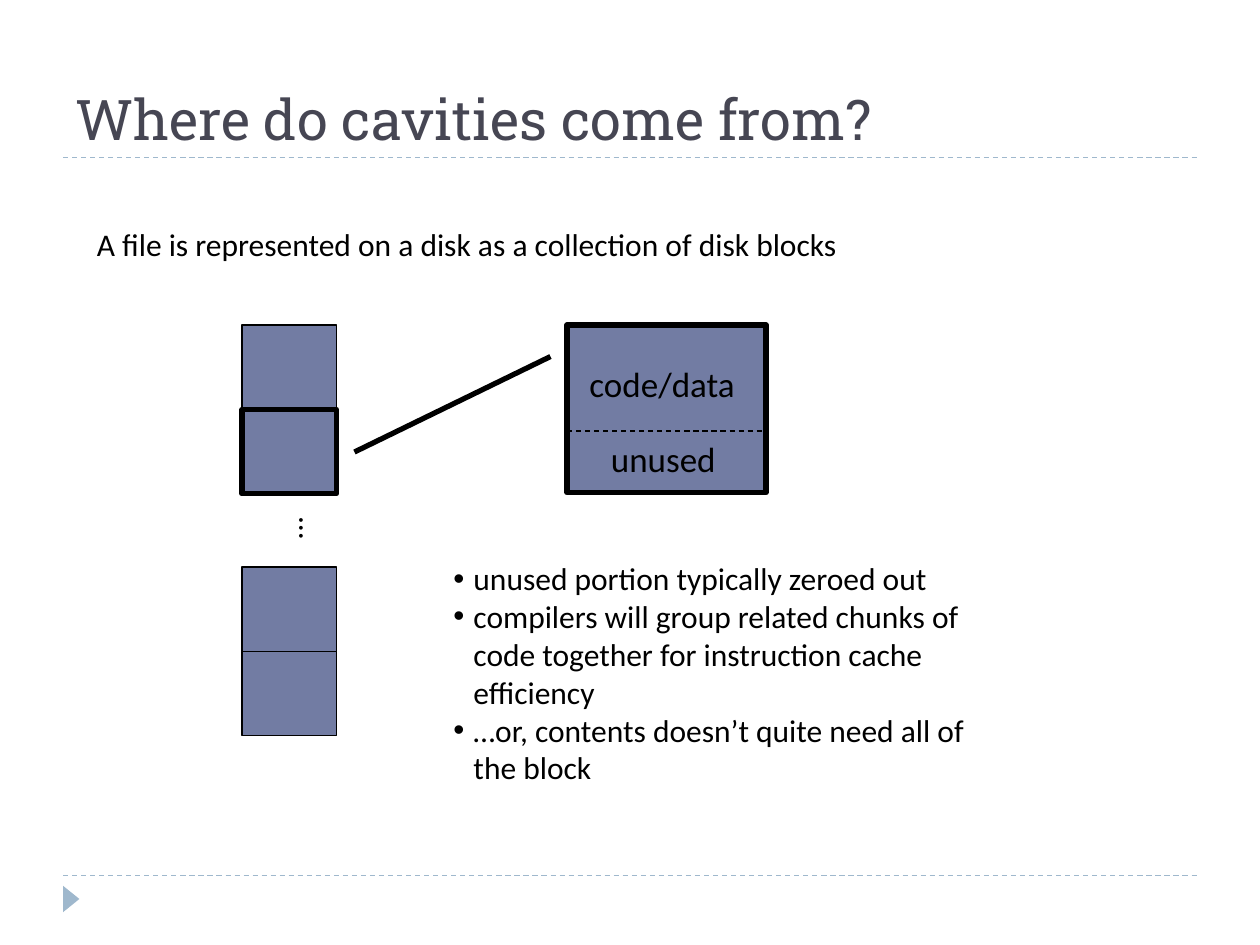
from lxml import etree
from pptx import Presentation
from pptx.dml.color import RGBColor
from pptx.enum.dml import MSO_LINE
from pptx.enum.shapes import MSO_CONNECTOR, MSO_SHAPE
from pptx.enum.text import MSO_ANCHOR
from pptx.oxml.ns import qn
from pptx.util import Inches, Pt

STRAIGHT = MSO_CONNECTOR.STRAIGHT
DASH = MSO_LINE.DASH
RECTANGLE = MSO_SHAPE.RECTANGLE
TRIANGLE = MSO_SHAPE.ISOSCELES_TRIANGLE
CALLOUT = MSO_SHAPE.LINE_CALLOUT_1
TOP, BOTTOM = MSO_ANCHOR.TOP, MSO_ANCHOR.BOTTOM

BLACK = RGBColor(0x00, 0x00, 0x00)
TITLE_GREY = RGBColor(0x46, 0x46, 0x53)
PALE_BLUE = RGBColor(0x9F, 0xB8, 0xCD)
BLOCK_BLUE = RGBColor(0x72, 0x7C, 0xA3)

POINTS = [
    "unused portion typically zeroed out",
    "compilers will group related chunks of\vcode together for instruction cache\vefficiency",
    "…or, contents doesn’t quite need all of\vthe block",
]


def add_text(page, left, top, width, height, lines, size,
             font="Calibri", color=BLACK, anchor=TOP, bulleted=False):
    box = page.shapes.add_textbox(Inches(left), Inches(top), Inches(width), Inches(height))
    frame = box.text_frame
    frame.word_wrap = True
    frame.vertical_anchor = anchor
    for index, line in enumerate(lines):
        para = frame.paragraphs[0] if index == 0 else frame.add_paragraph()
        para.text = line
        if bulleted:
            properties = para._p.get_or_add_pPr()
            properties.set("marL", str(Inches(0.16)))
            properties.set("indent", str(-Inches(0.16)))
            etree.SubElement(properties, qn("a:buFont")).set("typeface", "Arial")
            etree.SubElement(properties, qn("a:buChar")).set("char", "•")
        para.font.name = font
        para.font.size = Pt(size)
        para.font.color.rgb = color
    return box


def add_shape(page, kind, left, top, width, height, fill, line_width=None):
    shape = page.shapes.add_shape(kind, Inches(left), Inches(top), Inches(width), Inches(height))
    shape.shadow.inherit = False
    shape.fill.solid()
    shape.fill.fore_color.rgb = fill
    if line_width is None:
        shape.line.fill.background()
    else:
        shape.line.color.rgb = BLACK
        shape.line.width = Pt(line_width)
    return shape


def add_dashed_line(page, left, top, width, color):
    line = page.shapes.add_connector(
        STRAIGHT, Inches(left), Inches(top), Inches(left + width), Inches(top))
    line.line.color.rgb = color
    line.line.width = Pt(0.75)
    line.line.dash_style = DASH
    etree.SubElement(line._element.spPr, qn("a:effectLst"))


def add_frame(page, left, width):
    """Rules above and below the content, and the corner marker."""
    for top in (6.95, 1.25):
        add_dashed_line(page, left, top, width, PALE_BLUE)
    marker = add_shape(page, TRIANGLE, left - 0.04, 7.07, 0.21, 0.13, PALE_BLUE)
    marker.rotation = 90


def add_disk_blocks(page, left, top, width, block_height):
    """Column of disk blocks, with an ellipsis between the two pairs."""
    pair_gap = 0.58
    for index, line_width in enumerate((0.75, 3, 0.75, 0.75)):
        block_top = top + index * block_height + (index // 2) * pair_gap
        add_shape(page, RECTANGLE, left, block_top, width, block_height,
                  BLOCK_BLUE, line_width)
    dots = add_text(page, left + 0.23, top + 1.44, 0.54, 0.51, ["…"], 18)
    dots.rotation = 90


def add_block_detail(page, left, top, width, height):
    """Enlarged block, pointing back to the second block of the column."""
    callout = add_shape(page, CALLOUT, left, top, width, height, BLOCK_BLUE, 3)
    for index, value in enumerate((0.188, -0.083, 0.758, -1.068)):
        callout.adjustments[index] = value
    add_dashed_line(page, left, top + 0.84, width, BLACK)
    add_text(page, left + 0.25, top + 0.84, 1.12, 0.44, ["unused"], 20)
    add_text(page, left + 0.08, top + 0.25, 1.43, 0.44, ["code/data"], 20)


def main():
    deck = Presentation()
    deck.slide_width, deck.slide_height = Inches(10), Inches(7.5)
    page = deck.slides.add_slide(deck.slide_layouts[6])

    add_frame(page, 0.5, 9)
    # Title and introduction
    add_text(page, 0.5, 0.25, 9, 1, ["Where do cavities come from?"], 32,
             "Roboto Slab", TITLE_GREY, BOTTOM)
    add_text(page, 0.67, 1.74, 8.95, 0.51,
             ["A file is represented on a disk as a collection of disk blocks"], 18)
    # Diagram
    add_disk_blocks(page, 1.92, 2.58, 0.75, 0.67)
    add_block_detail(page, 4.5, 2.58, 1.58, 1.33)
    # Reasons for unused space
    add_text(page, 3.5, 4.39, 6.16, 2.52, POINTS, 18, bulleted=True)

    deck.save("out.pptx")


if __name__ == "__main__":
    main()
